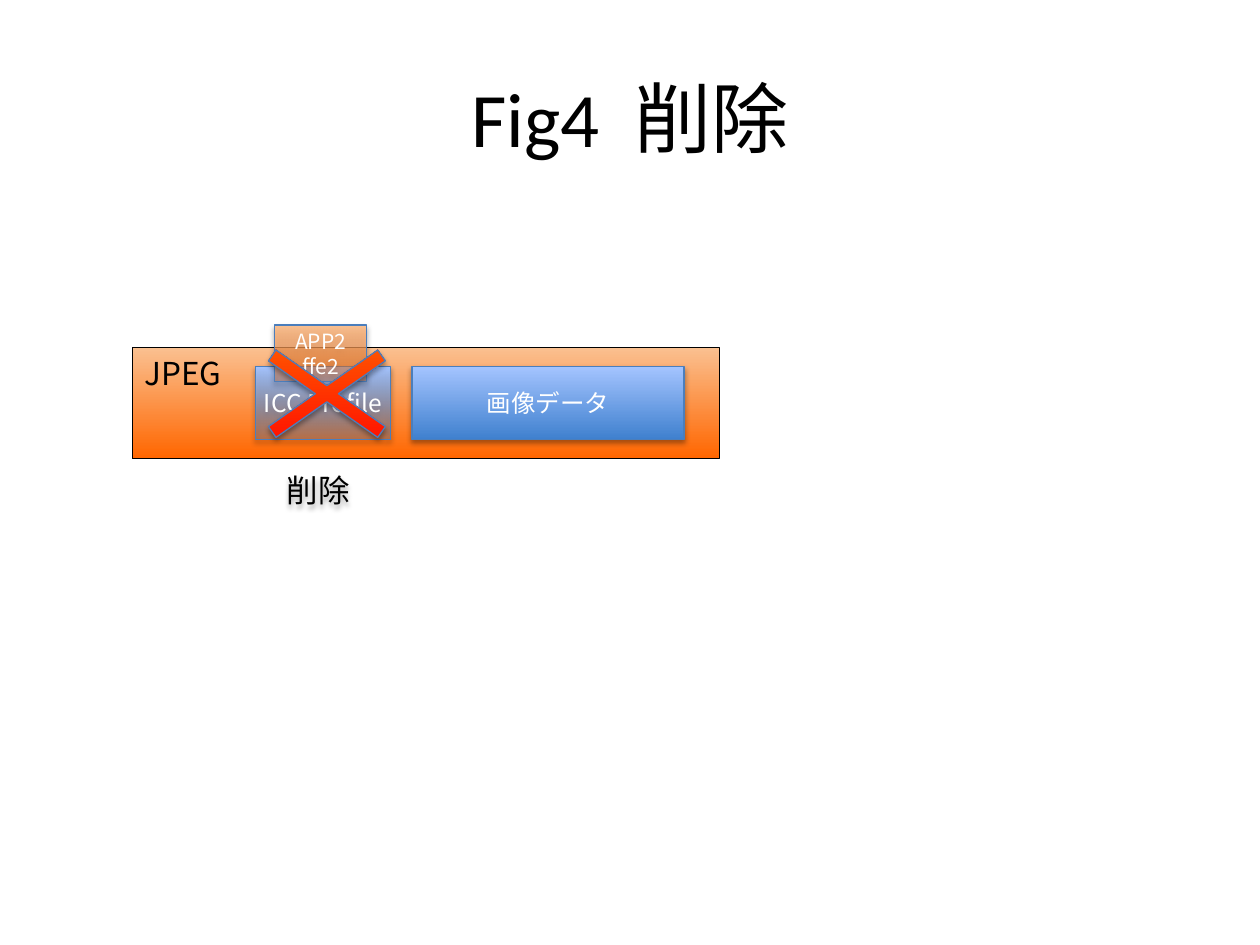
from lxml.etree import SubElement
from pptx import Presentation
from pptx.dml.color import RGBColor
from pptx.enum.shapes import MSO_SHAPE
from pptx.enum.text import MSO_ANCHOR, PP_ALIGN
from pptx.oxml.ns import qn
from pptx.util import Inches, Pt

COLUMNS, ROWS = 100, 75
CJK = "Noto Sans CJK JP"
ORANGE, BLUE, RED = ("FF6600", "FAC090"), ("3F80CE", "A4C4FF"), ("FF0000", "FF6600")
EDGE = "4B7EBC"

deck = Presentation()
deck.slide_width, deck.slide_height = Inches(10), Inches(7.5)
slide = deck.slides.add_slide(deck.slide_layouts[6])
column, row = deck.slide_width / COLUMNS, deck.slide_height / ROWS


def rgb(value):
    return RGBColor.from_string(value)


def write(part, lines, size, color, align=PP_ALIGN.CENTER,
          anchor=MSO_ANCHOR.MIDDLE, wrap=True, face=CJK):
    frame = part.text_frame
    frame.word_wrap = wrap
    frame.vertical_anchor = anchor
    frame.text = "\n".join(lines)
    for paragraph in frame.paragraphs:
        paragraph.alignment = align
        paragraph.font.size = Pt(size)
        paragraph.font.color.rgb = rgb(color)
        paragraph.font.name = face
        defaults = paragraph._p.pPr.find(qn("a:defRPr"))
        SubElement(defaults, qn("a:ea"), typeface=CJK)


title = slide.shapes.add_textbox(*map(int, (5 * column, 3 * row, 90 * column, 12.5 * row)))
write(title, [""], 44, "000000", face="Calibri")
for piece in ("Fig4", " ", "削除"):
    word = title.text_frame.paragraphs[0].add_run()
    word.text = piece
    if piece == " ":
        word._r.get_or_add_rPr().set("spc", "1000")

segments = [
    (MSO_SHAPE.RECTANGLE, (10.5, 27.6, 46.6, 8.8), ORANGE, 100, "000000", False,
     dict(lines=["JPEG"], size=18, color="000000", align=PP_ALIGN.LEFT, anchor=MSO_ANCHOR.TOP)),
    (MSO_SHAPE.RECTANGLE, (32.7, 29.1, 21.6, 5.8), BLUE, 100, EDGE, True,
     dict(lines=["画像データ"], size=14, color="FFFFFF", wrap=False)),
    (MSO_SHAPE.RECTANGLE, (20.3, 29.1, 10.7, 5.8), BLUE, 25, EDGE, True,
     dict(lines=["ICC Profile"], size=14, color="FFFFFF", wrap=False)),
    (MSO_SHAPE.RECTANGLE, (21.8, 25.8, 7.3, 4.5), ORANGE, 25, EDGE, True,
     dict(lines=["APP2", "ffe2"], size=12, color="FFFFFF")),
    (MSO_SHAPE.RECTANGLE, (21.1, 36.3, 8.3, 5.2), None, 100, None, True,
     dict(lines=["削除"], size=18, color="000000", wrap=False)),
    (MSO_SHAPE.MATH_MULTIPLY, (17.6, 25.4, 16.7, 11.7), RED, 100, EDGE, True, None),
]

for outline, (left, top, width, height), shades, opacity, edge, shadowed, label in segments:
    segment = slide.shapes.add_shape(
        outline, int(left * column), int(top * row), int(width * column), int(height * row))
    if shades:
        segment.fill.gradient()
        segment.fill.gradient_angle = 90
        for stop, shade, position in zip(segment.fill.gradient_stops, shades, (0, 1)):
            stop.color.rgb = rgb(shade)
            stop.position = position
        if opacity < 100:
            first_shade = next(segment._element.spPr.iter(qn("a:srgbClr")))
            SubElement(first_shade, qn("a:alpha"), val=str(opacity * 1000))
        segment.line.color.rgb = rgb(edge)
        segment.line.width = Pt(0.75)
    else:
        segment.fill.background()
        segment.line.fill.background()
    segment.shadow.inherit = False
    if shadowed:
        effects = segment._element.spPr.find(qn("a:effectLst"))
        shadow = SubElement(effects, qn("a:outerShdw"), blurRad=str(Pt(3.1)),
                            dist=str(Pt(1.8)), dir="5400000", rotWithShape="0")
        tint = SubElement(shadow, qn("a:srgbClr"), val="000000")
        SubElement(tint, qn("a:alpha"), val="35000")
    if outline == MSO_SHAPE.MATH_MULTIPLY:
        segment.adjustments[0] = 0.09
    if label:
        write(segment, **label)

deck.save("out.pptx")
